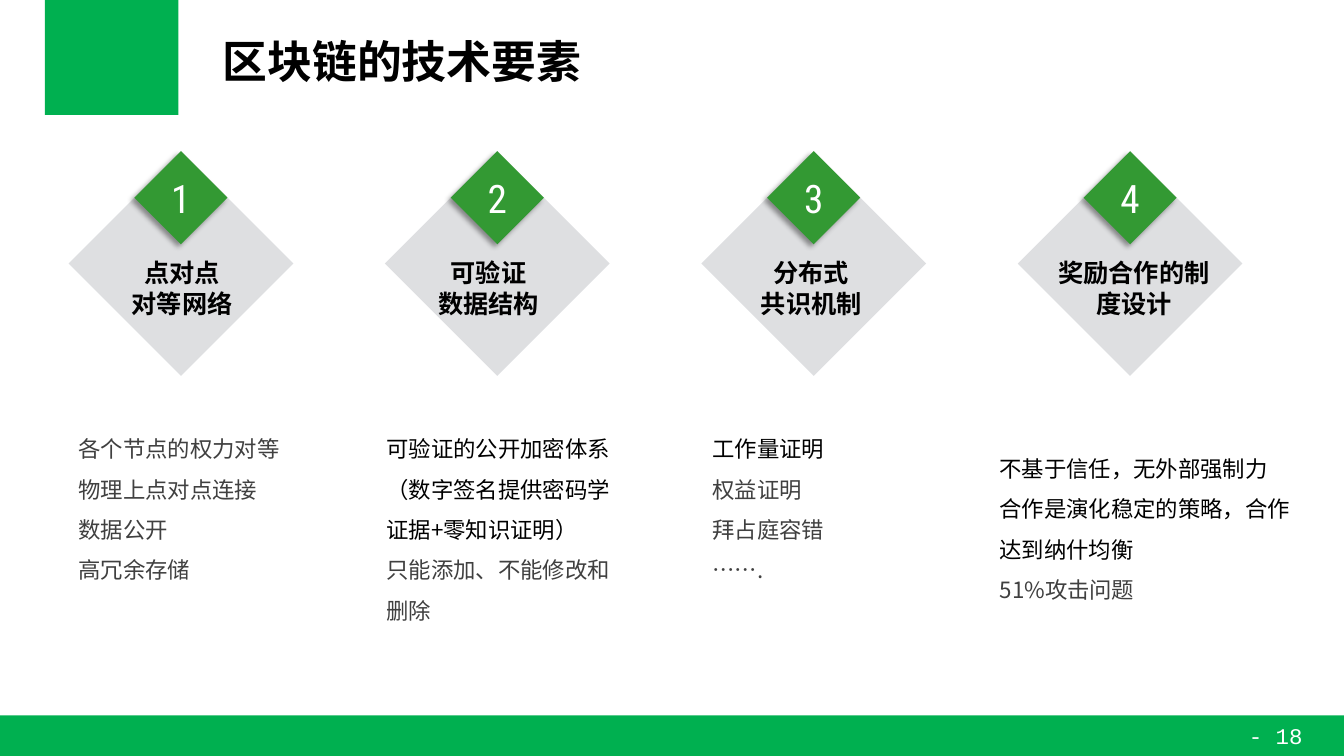
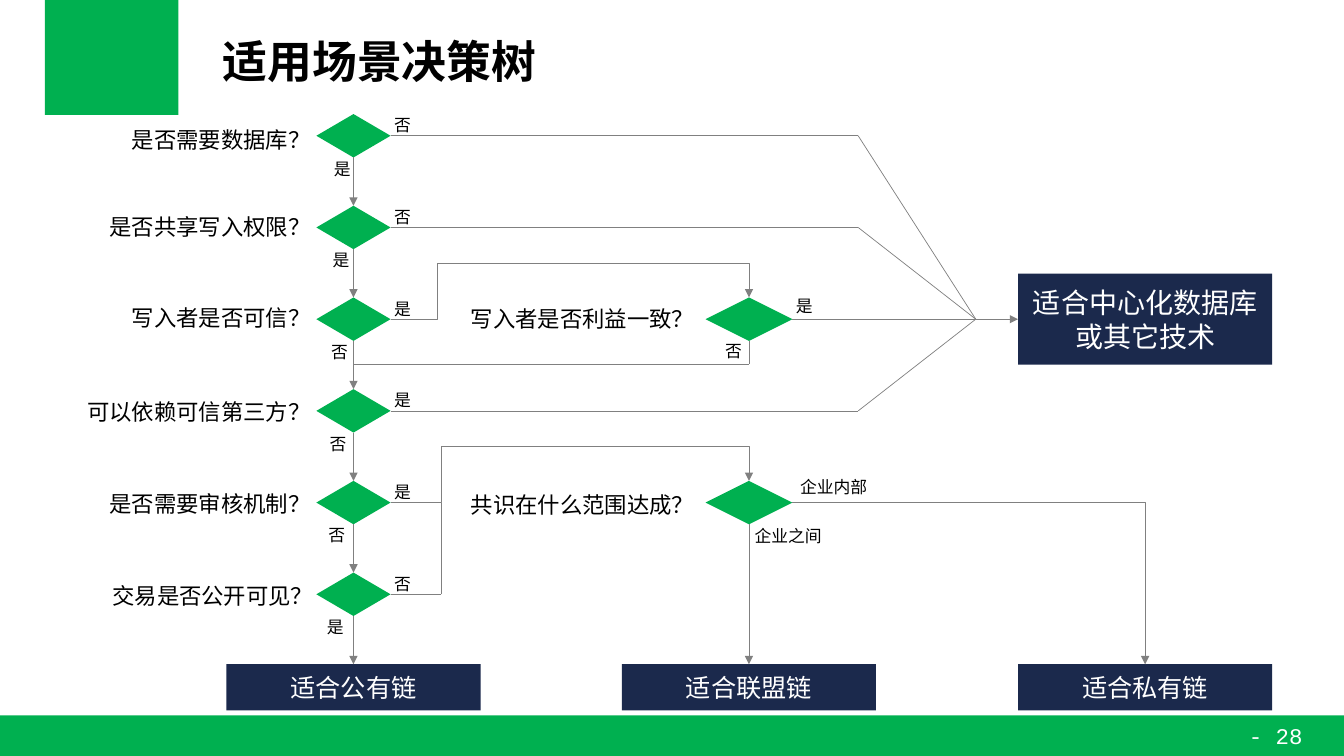
from dataclasses import dataclass

from lxml import etree
from pptx import Presentation
from pptx.dml.color import RGBColor
from pptx.enum import shapes, text
from pptx.oxml import ns
from pptx.util import Pt

COLORS = {
    "brand": "00B050", "badge": "339933", "tile": "DEDFE1", "navy": "1B294C",
    "line": "808080", "black": "000000", "grey": "404040", "white": "FFFFFF",
}
CJK = "Noto Sans CJK SC"
SHAPE = shapes.MSO_SHAPE
LEFT, CENTER, RIGHT = text.PP_ALIGN.LEFT, text.PP_ALIGN.CENTER, text.PP_ALIGN.RIGHT
MIDDLE = text.MSO_ANCHOR.MIDDLE
TOP_SIDE, LEFT_SIDE, BOTTOM_SIDE, RIGHT_SIDE = range(4)


@dataclass
class Style:
    size: float
    color: str = "black"
    font: str = CJK
    bold: bool = False
    align: text.PP_ALIGN = LEFT
    spacing: float = 1.0


TITLE = Style(32, font="Arial", bold=True, spacing=0.9)
PAGE_NUMBER = Style(16, "white", "Courier New", align=CENTER)
BADGE = Style(28, "white", "Roboto Condensed", align=CENTER)
TILE_LABEL = Style(18, bold=True, align=CENTER)
BODY = Style(16, spacing=1.5)
BODY_GREY = Style(16, "grey", spacing=1.5)
QUESTION = Style(16, align=RIGHT)
ANSWER = Style(12, align=CENTER)
RESULT = Style(18, "white", align=CENTER)
RESULT_LARGE = Style(20, "white", align=CENTER)


# Shared drawing helpers
def rgb(name: str) -> RGBColor:
    return RGBColor.from_string(COLORS[name])


def write_para(para, words: str, style: Style) -> None:
    para.text = words
    para.alignment = style.align
    para.line_spacing = style.spacing
    for span in para.runs:
        span.font.size = Pt(style.size)
        span.font.bold = style.bold
        span.font.name = style.font
        span.font.color.rgb = rgb(style.color)
        east_asian = etree.SubElement(span.font._element, ns.qn("a:ea"))
        east_asian.set("typeface", CJK)


def add_text(page, left: float, top: float, width: float, height: float,
             lines: list[tuple[str, Style]], anchor=text.MSO_ANCHOR.TOP):
    box = page.shapes.add_textbox(Pt(left), Pt(top), Pt(width), Pt(height))
    frame = box.text_frame
    frame.word_wrap = True
    frame.vertical_anchor = anchor
    for index, (words, style) in enumerate(lines):
        para = frame.add_paragraph() if index else frame.paragraphs[0]
        write_para(para, words, style)
    return box


def add_block(page, kind, left: float, top: float, width: float, height: float,
              fill: str, words: str = "", style: Style = RESULT):
    block = page.shapes.add_shape(kind, Pt(left), Pt(top), Pt(width), Pt(height))
    block.shadow.inherit = False
    block.fill.solid()
    block.fill.fore_color.rgb = rgb(fill)
    block.line.fill.background()
    if words:
        block.text_frame.word_wrap = True
        block.text_frame.vertical_anchor = MIDDLE
        write_para(block.text_frame.paragraphs[0], words, style)
    return block


def add_line(page, start=(0, 0), end=(0, 0), arrow: bool = False,
             kind=shapes.MSO_CONNECTOR.STRAIGHT):
    line = page.shapes.add_connector(kind, *(Pt(v) for v in (*start, *end)))
    line.line.color.rgb = rgb("line")
    line.line.width = Pt(0.5)
    if arrow:
        etree.SubElement(line.line._get_or_add_ln(), ns.qn("a:tailEnd"), type="triangle")
    etree.SubElement(line._element.spPr, ns.qn("a:effectLst"))
    return line


def join(page, source, source_side: int, target, target_side: int,
         kind=shapes.MSO_CONNECTOR.STRAIGHT):
    line = add_line(page, arrow=True, kind=kind)
    line.begin_connect(source, source_side)
    line.end_connect(target, target_side)
    return line


def join_bent(page, source, target, preset: str, adjustments: tuple[float, ...] = ()) -> None:
    """Elbow from the right side of source to the top of target."""
    line = join(page, source, RIGHT_SIDE, target, TOP_SIDE, shapes.MSO_CONNECTOR.ELBOW)
    geometry = line._element.spPr.find(ns.qn("a:prstGeom"))
    geometry.set("prst", preset)
    guides = geometry.find(ns.qn("a:avLst"))
    for number, value in enumerate(adjustments, 1):
        etree.SubElement(guides, ns.qn("a:gd"), name=f"adj{number}",
                         fmla=f"val {round(value * 100000)}")


def add_path(page, *points: tuple[float, float]) -> None:
    for start, end in zip(points, points[1:]):
        add_line(page, start, end)


def add_page(deck, title: str, number: int):
    page = deck.slides.add_slide(deck.slide_layouts[6])
    add_block(page, SHAPE.RECTANGLE, 32, 0, 95.5, 82, "brand")
    add_block(page, SHAPE.RECTANGLE, 0, 511, 960, 29, "brand")
    add_text(page, 877, 512.5, 68.5, 26.5, [(f"- {number}", PAGE_NUMBER)])
    add_text(page, 152, 17.5, 755, 56, [(title, TITLE)], MIDDLE)
    return page


# Four technical elements
@dataclass
class Element:
    label: list[str]
    label_left: float
    body_left: float
    body_top: float
    body_width: float
    black: list[str]
    grey: list[str]


ELEMENTS = [
    Element(["点对点", "对等网络"], 68.5, 49, 298, 161, [],
            ["各个节点的权力对等", "物理上点对点连接", "数据公开", "高冗余存储"]),
    Element(["可验证", "数据结构"], 287.5, 269, 298, 176,
            ["可验证的公开加密体系（数字签名提供密码学证据+零知识证明）"],
            ["只能添加、不能修改和删除"]),
    Element(["分布式", "共识机制"], 518, 502, 298, 161,
            ["工作量证明"], ["权益证明", "拜占庭容错", "……."]),
    Element(["奖励合作的制度设计"], 748.5, 707, 312, 230.5,
            ["不基于信任，无外部强制力", "合作是演化稳定的策略，合作达到纳什均衡"],
            ["51%攻击问题"]),
]


def add_badge_shadow(badge) -> None:
    effects = badge._element.spPr.find(ns.qn("a:effectLst"))
    shadow = etree.SubElement(effects, ns.qn("a:outerShdw"), blurRad=str(Pt(4)),
                              dist=str(Pt(3)), dir="8100000", algn="tr", rotWithShape="0")
    color = etree.SubElement(shadow, ns.qn("a:srgbClr"), val=COLORS["black"])
    etree.SubElement(color, ns.qn("a:alpha"), val="40000")


def build_elements(deck) -> None:
    page = add_page(deck, "区块链的技术要素", 18)
    tile, badge_size, top = 160.5, 66.5, 108
    for index, item in enumerate(ELEMENTS):
        left = 49 + 226 * index
        add_block(page, SHAPE.DIAMOND, left, top, tile, tile, "tile")
        badge = add_block(page, SHAPE.DIAMOND, left + (tile - badge_size) / 2, top,
                          badge_size, badge_size, "badge", str(index + 1), BADGE)
        frame = badge.text_frame
        frame.margin_left = frame.margin_right = frame.margin_top = frame.margin_bottom = 0
        add_badge_shadow(badge)
        add_text(page, item.label_left, 180.5, 123, 51,
                 [(words, TILE_LABEL) for words in item.label])
        add_text(page, item.body_left, item.body_top, item.body_width, 124,
                 [(words, BODY) for words in item.black]
                 + [(words, BODY_GREY) for words in item.grey])


# Decision tree
@dataclass
class Question:
    words: str
    top: float
    right: float
    beside: str
    below: str


QUESTIONS = [
    Question("是否需要数据库？", 86.5, 229, "否", "是"),
    Question("是否共享写入权限？", 148.5, 229, "否", "是"),
    Question("写入者是否可信？", 214, 229, "是", "否"),
    Question("可以依赖可信第三方？", 281, 229, "是", "否"),
    Question("是否需要审核机制？", 346.5, 229, "是", "否"),
    Question("交易是否公开可见？", 412, 231, "否", "是"),
]
SPINE, SECOND, THIRD = 252.5, 535, 818
ROWS = [97 + 65.5 * index for index in range(len(QUESTIONS))]
DECISION_HEIGHT = 31


def add_decision(page, center: float, row: float, width: float):
    return add_block(page, SHAPE.FLOWCHART_DECISION, center - width / 2,
                     row - DECISION_HEIGHT / 2, width, DECISION_HEIGHT, "brand")


def add_result(page, center: float, top: float, height: float, words: str,
               style: Style = RESULT):
    return add_block(page, SHAPE.RECTANGLE, center - 90.75, top, 181.5, height,
                     "navy", words, style)


def add_question(page, words: str, right: float, top: float) -> None:
    add_text(page, right - 191, top, 191, 26.5, [(words, QUESTION)])


def add_answer(page, words: str, left: float, top: float) -> None:
    add_text(page, left, top, 27 if len(words) == 1 else 66, 21.5, [(words, ANSWER)])


def build_tree(deck) -> None:
    page = add_page(deck, "适用场景决策树", 28)

    # Decisions and outcomes
    steps = [add_decision(page, SPINE, row, 53) for row in ROWS]
    interests = add_decision(page, SECOND, ROWS[2], 62)
    scope = add_decision(page, SECOND, ROWS[4], 62)
    public, alliance, private = (
        add_result(page, center, 474.5, 33, words)
        for center, words in ((SPINE, "适合公有链"), (SECOND, "适合联盟链"),
                              (THIRD, "适合私有链")))
    database = add_result(page, THIRD, ROWS[2] - 32.5, 65,
                          "适合中心化数据库或其它技术", RESULT_LARGE)

    # Straight arrows
    for upper, lower in zip(steps, steps[1:] + [public]):
        join(page, upper, BOTTOM_SIDE, lower, TOP_SIDE)
    join(page, scope, BOTTOM_SIDE, alliance, TOP_SIDE)
    join(page, interests, RIGHT_SIDE, database, LEFT_SIDE)

    # Branches that meet before the database
    step_right = SPINE + 26.5
    for index in (0, 1, 3):
        add_path(page, (step_right, ROWS[index]), (613, ROWS[index]), (697, ROWS[2]))

    # Elbows
    join_bent(page, scope, private, "bentConnector2")
    span = SECOND - step_right
    for step, target, lane in ((steps[2], interests, 312.5), (steps[4], scope, 315)):
        join_bent(page, step, target, "bentConnector4",
                  ((lane - step_right) / span, 40 / (DECISION_HEIGHT / 2)))
    add_path(page, (SECOND, ROWS[2] + DECISION_HEIGHT / 2), (SECOND, 260), (SPINE, 260))
    add_path(page, (step_right, ROWS[5]), (315, ROWS[5]), (315, ROWS[4]))

    # Questions and answers
    for index, (item, row) in enumerate(zip(QUESTIONS, ROWS)):
        add_question(page, item.words, item.right, item.top)
        add_answer(page, item.beside, 274, row - 18.5)
        add_answer(page, item.below, 231 - index, row + 12.5)
    add_question(page, "写入者是否利益一致？", 503, 214.5)
    add_question(page, "共识在什么范围达成？", 503, 347)
    for words, left, top in (("否", 510.5, 240), ("是", 561, 207.5),
                             ("企业内部", 562.5, 337), ("企业之间", 530, 372)):
        add_answer(page, words, left, top)


def main() -> None:
    deck = Presentation()
    deck.slide_width, deck.slide_height = Pt(960), Pt(540)
    build_elements(deck)
    build_tree(deck)
    deck.save("out.pptx")


if __name__ == "__main__":
    main()
